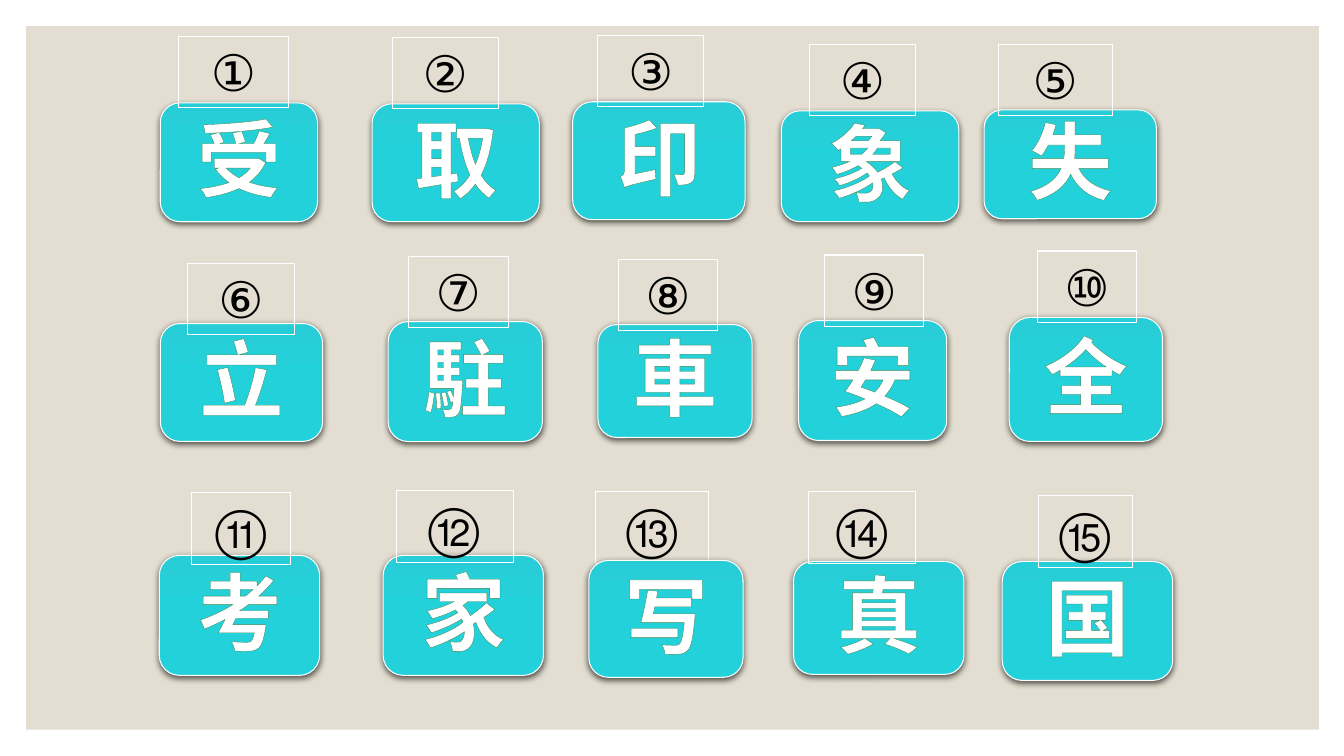
from pptx import Presentation
from pptx.dml.color import RGBColor
from pptx.enum.shapes import MSO_SHAPE
from pptx.enum.text import MSO_ANCHOR, MSO_AUTO_SIZE, PP_ALIGN
from pptx.oxml import parse_xml
from pptx.oxml.ns import nsdecls
from pptx.util import Inches, Pt

CARDS = [
    ("受", 1.59, 1.02, 1.56, 1.18), ("取", 3.69, 1.03, 1.66, 1.17),
    ("印", 5.68, 1.01, 1.71, 1.17), ("象", 7.75, 1.10, 1.76, 1.10),
    ("失", 9.76, 1.09, 1.71, 1.08),
    ("立", 1.59, 3.21, 1.61, 1.17), ("駐", 3.85, 3.19, 1.53, 1.19),
    ("車", 5.93, 3.22, 1.53, 1.12), ("安", 7.92, 3.18, 1.47, 1.19),
    ("全", 10.01, 3.15, 1.52, 1.23),
    ("考", 1.58, 5.51, 1.59, 1.19), ("家", 3.80, 5.51, 1.59, 1.19),
    ("写", 5.84, 5.56, 1.53, 1.16), ("真", 7.87, 5.57, 1.69, 1.12),
    ("国", 9.94, 5.57, 1.69, 1.18),
]
LABELS = [
    ("①", 1.77, 0.36, 1.09), ("②", 3.89, 0.37, 1.05), ("③", 5.93, 0.35, 1.05),
    ("④", 8.03, 0.44, 1.05), ("⑤", 9.90, 0.44, 1.13),
    ("⑥", 1.86, 2.61, 1.06), ("⑦", 4.05, 2.54, 0.99), ("⑧", 6.13, 2.57, 0.99),
    ("⑨", 8.18, 2.53, 0.98), ("⑩", 10.29, 2.49, 0.98),
    ("⑪", 1.90, 4.89, 0.98), ("⑫", 3.93, 4.87, 1.16), ("⑬", 5.91, 4.88, 1.12),
    ("⑭", 8.02, 4.88, 1.06), ("⑮", 10.30, 4.92, 0.93),
]
FRONT = "写"
TALL = 0.71
STOPS = [(0, "27CED7"), (50, "22D1DA"), (100, "22D0D9")]
WHITE, BLACK, SAND, GREEN = "FFFFFF", "000000", "E3DED1", "3E8853"


def color(hue):
    return RGBColor.from_string(hue)


def tint(hue, inner=""):
    return f'<a:srgbClr val="{hue}">{inner}</a:srgbClr>'


def edge(shape):
    shape.line.color.rgb = color(WHITE)
    shape.line.width = Pt(0.75)


def write(shape, text, size, face, hue, bold):
    para = shape.text_frame.paragraphs[0]
    para.text = text
    para.alignment = PP_ALIGN.CENTER
    run = para.runs[0]
    run.font.size = Pt(size)
    run.font.name = face
    run.font.bold = bold
    run.font.color.rgb = color(hue)
    return run


def card(slide, text, *box):
    shape = slide.shapes.add_shape(MSO_SHAPE.ROUNDED_RECTANGLE, *map(Inches, box))
    edge(shape)
    shape.shadow.inherit = False
    stops = "".join(f'<a:gs pos="{at * 1000}">{tint(hue)}</a:gs>' for at, hue in STOPS)
    props = shape._element.spPr
    props.prstGeom.addnext(parse_xml(
        f'<a:gradFill {nsdecls("a")} rotWithShape="1"><a:gsLst>{stops}</a:gsLst>'
        '<a:lin ang="5400000" scaled="0"/></a:gradFill>'))
    alpha = '<a:alpha val="63000"/>'
    props[-1].append(parse_xml(
        f'<a:outerShdw {nsdecls("a")} blurRad="{Pt(4.5)}" dist="{Pt(1.5)}" '
        f'dir="5400000" rotWithShape="0">{tint(BLACK, alpha)}</a:outerShdw>'))
    frame = shape.text_frame
    frame.word_wrap = True
    frame.vertical_anchor = MSO_ANCHOR.MIDDLE
    frame.margin_left = frame.margin_top = frame.margin_right = 0
    frame.margin_bottom = Inches(0.1)
    run = write(shape, text, 60, "Calibri", WHITE, True)
    run.font._element.insert(0, parse_xml(
        f'<a:ln {nsdecls("a")} w="{Pt(0.8)}"><a:solidFill>{tint(GREEN)}</a:solidFill></a:ln>'))


def label(slide, text, left, top, wide):
    shape = slide.shapes.add_textbox(*map(Inches, (left, top, wide, TALL)))
    edge(shape)
    shape.text_frame.word_wrap = True
    shape.text_frame.auto_size = MSO_AUTO_SIZE.SHAPE_TO_FIT_TEXT
    write(shape, text, 36, "League Spartan", BLACK, False)


def main():
    deck = Presentation()
    deck.slide_width, deck.slide_height = Inches(13.33), Inches(7.5)
    slide = deck.slides.add_slide(deck.slide_layouts[6])
    panel = slide.shapes.add_shape(
        MSO_SHAPE.RECTANGLE, *map(Inches, (0.26, 0.26, 12.82, 6.98)))
    panel.shadow.inherit = False
    panel.fill.solid()
    panel.fill.fore_color.rgb = color(SAND)
    panel.line.fill.background()
    for item in CARDS:
        if item[0] != FRONT:
            card(slide, *item)
    for item in LABELS:
        label(slide, *item)
    for item in CARDS:
        if item[0] == FRONT:
            card(slide, *item)
    deck.save("out.pptx")


if __name__ == "__main__":
    main()
